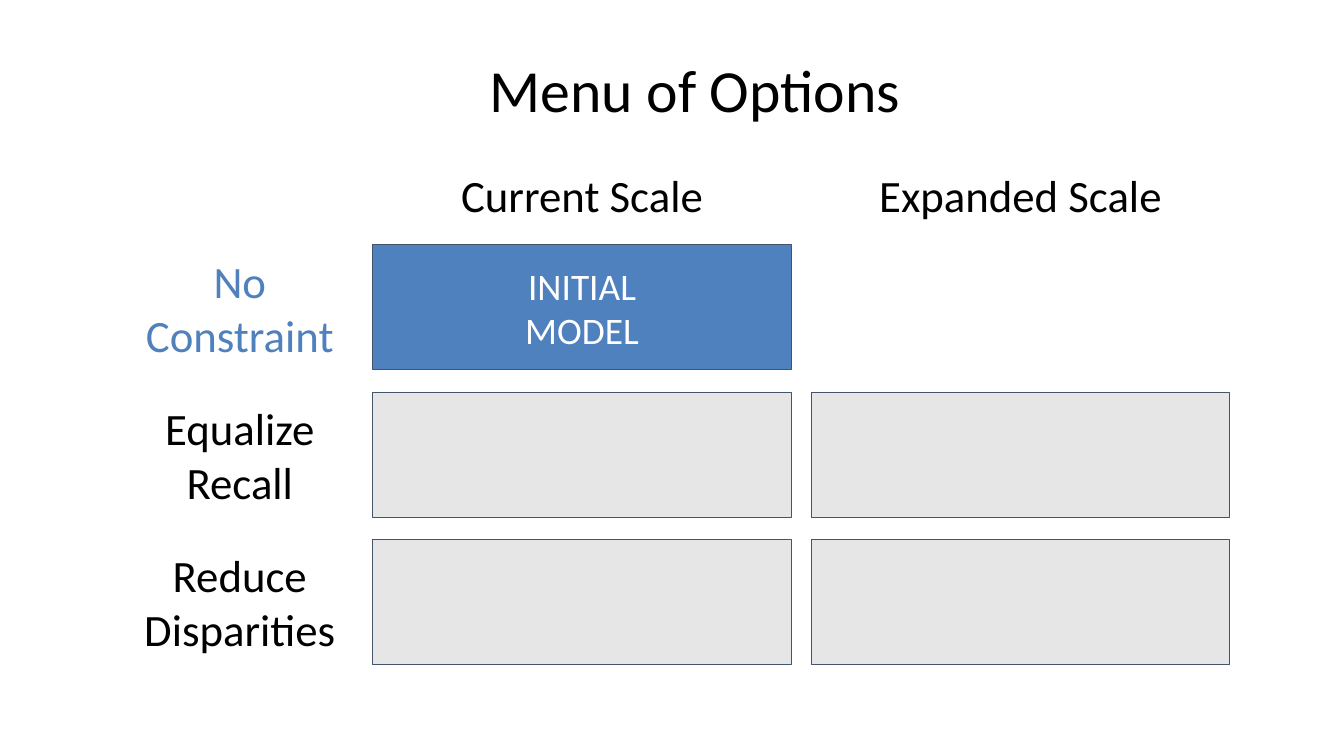
from dataclasses import dataclass

from pptx import Presentation
from pptx.dml.color import RGBColor
from pptx.enum.shapes import MSO_SHAPE
from pptx.enum.text import MSO_ANCHOR, PP_ALIGN
from pptx.util import Pt

RECTANGLE = MSO_SHAPE.RECTANGLE
TOP, MIDDLE = MSO_ANCHOR.TOP, MSO_ANCHOR.MIDDLE
CENTER = PP_ALIGN.CENTER


@dataclass(frozen=True)
class Theme:
    font: str = "Calibri"
    title_size: float = 42.7
    label_size: float = 32
    cell_size: float = 26.7
    inset: float = 9.6
    outline_width: float = 0.75
    ink: RGBColor = RGBColor(0x00, 0x00, 0x00)
    paper: RGBColor = RGBColor(0xFF, 0xFF, 0xFF)
    accent: RGBColor = RGBColor(0x4F, 0x81, 0xBD)
    active_fill: RGBColor = RGBColor(0x4F, 0x81, 0xBE)
    option_fill: RGBColor = RGBColor(0xE7, 0xE6, 0xE6)
    outline: RGBColor = RGBColor(0x44, 0x54, 0x6A)


THEME = Theme()


@dataclass(frozen=True)
class Box:
    left: float
    top: float
    width: float
    height: float

    def lengths(self):
        return [Pt(value) for value in (self.left, self.top, self.width, self.height)]


SLIDE_WIDTH, SLIDE_HEIGHT = 960, 540
TITLE_BOX = Box(36, 28.1, 920.9, 79.9)
MENU_BOX = Box(76.3, 117.4, 802.1, 357.1)
LABEL_WIDTH = 190.1
HEADER_HEIGHT, HEADER_MARGIN = 42.5, 25.2
HEADER_GAP, COLUMN_GAP, ROW_GAP = 15.1, 14.4, 15.8

COLUMNS = ["Current Scale", "Expanded Scale"]
ROWS = [
    # label, label colour, cells (text and fill) from the left
    ("No\nConstraint", THEME.accent, [("INITIAL\nMODEL", THEME.active_fill)]),
    ("Equalize\nRecall", THEME.ink, [("", THEME.option_fill)] * 2),
    ("Reduce\nDisparities", THEME.ink, [("", THEME.option_fill)] * 2),
]


def write_text(shape, text, size=THEME.label_size, color=THEME.ink, anchor=MIDDLE):
    """Fill a shape with centred text, one paragraph for each line."""
    frame = shape.text_frame
    frame.word_wrap = True
    frame.vertical_anchor = anchor
    frame.margin_left = frame.margin_right = Pt(THEME.inset)
    frame.margin_top = frame.margin_bottom = Pt(THEME.inset)
    frame.text = text
    for paragraph in frame.paragraphs:
        paragraph.alignment = CENTER
        paragraph.font.name = THEME.font
        paragraph.font.size = Pt(size)
        paragraph.font.color.rgb = color


def add_text(slide, box, text, **text_format):
    write_text(slide.shapes.add_textbox(*box.lengths()), text, **text_format)


def add_cell(slide, box, text, fill):
    shape = slide.shapes.add_shape(RECTANGLE, *box.lengths())
    shape.shadow.inherit = False
    shape.fill.solid()
    shape.fill.fore_color.rgb = fill
    shape.line.color.rgb = THEME.outline
    shape.line.width = Pt(THEME.outline_width)
    if text:
        write_text(shape, text, size=THEME.cell_size, color=THEME.paper)


def add_menu(slide, box):
    """Lay out column headers, row labels and option cells inside the box."""
    cells_left = box.left + LABEL_WIDTH
    cells_top = box.top + HEADER_HEIGHT + HEADER_GAP
    column_pitch = (box.width - LABEL_WIDTH + COLUMN_GAP) / len(COLUMNS)
    row_pitch = (box.top + box.height - cells_top + ROW_GAP) / len(ROWS)
    cell_width, cell_height = column_pitch - COLUMN_GAP, row_pitch - ROW_GAP

    for column, header in enumerate(COLUMNS):
        left = cells_left + column * column_pitch + HEADER_MARGIN
        width = cell_width - 2 * HEADER_MARGIN
        add_text(slide, Box(left, box.top, width, HEADER_HEIGHT), header)

    for row, (label, color, cells) in enumerate(ROWS):
        top = cells_top + row * row_pitch
        add_text(slide, Box(box.left, top, LABEL_WIDTH, cell_height), label, color=color)
        for column, (text, fill) in enumerate(cells):
            left = cells_left + column * column_pitch
            add_cell(slide, Box(left, top, cell_width, cell_height), text, fill)


def main():
    presentation = Presentation()
    presentation.slide_width = Pt(SLIDE_WIDTH)
    presentation.slide_height = Pt(SLIDE_HEIGHT)
    slide = presentation.slides.add_slide(presentation.slide_layouts[6])
    add_text(slide, TITLE_BOX, "Menu of Options", size=THEME.title_size, anchor=TOP)
    add_menu(slide, MENU_BOX)
    presentation.save("out.pptx")


if __name__ == "__main__":
    main()
